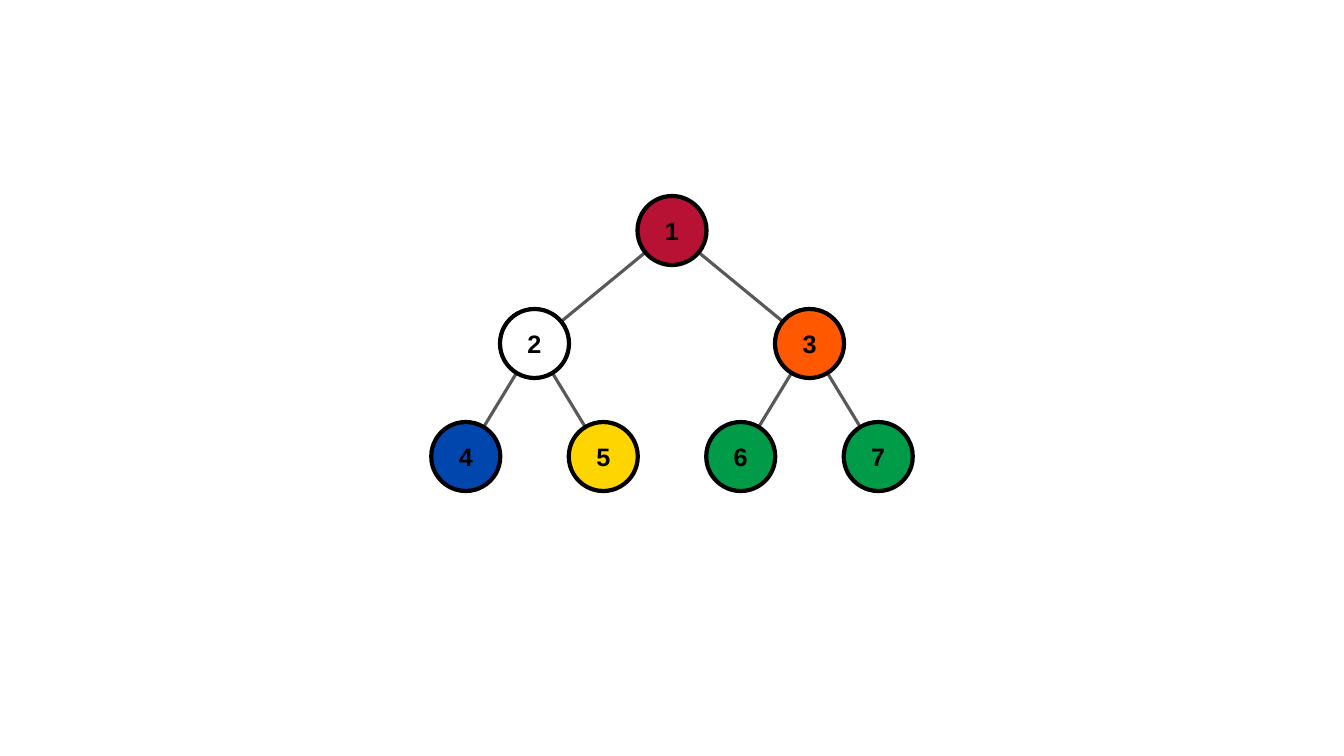
import pptx
import pptx.dml.color
import pptx.enum.shapes
import pptx.enum.text
import pptx.util
from lxml import etree

PIXEL = 914400 / 100.8
RGB = pptx.dml.color.RGBColor
BLACK = RGB(0x00, 0x00, 0x00)
GREY = RGB(0x59, 0x59, 0x59)
RED = RGB(0xB7, 0x12, 0x34)
WHITE = RGB(0xFF, 0xFF, 0xFF)
ORANGE = RGB(0xFF, 0x58, 0x00)
BLUE = RGB(0x00, 0x46, 0xAD)
YELLOW = RGB(0xFF, 0xD5, 0x00)
GREEN = RGB(0x00, 0x9B, 0x48)

NODE_COLORS = [RED, WHITE, ORANGE, BLUE, YELLOW, GREEN, GREEN]
DIAMETER = 69
TREE_BOX = (397, 196, 550, 295)


def emu(pixels):
    """Turn pixels into EMU."""
    return pptx.util.Emu(round(pixels * PIXEL))


def add_edge(page, start, end):
    """Join two node centres with a grey line."""
    edge = page.shapes.add_connector(
        pptx.enum.shapes.MSO_CONNECTOR.STRAIGHT, *map(emu, start + end))
    edge.line.color.rgb = GREY
    edge.line.width = pptx.util.Pt(2.25)
    properties = edge.element.spPr
    etree.SubElement(properties, pptx.oxml.ns.qn("a:effectLst"))


def add_node(page, center, number, color):
    """Draw a numbered circle around its centre."""
    left, top = (value - DIAMETER / 2 for value in center)
    node = page.shapes.add_shape(
        pptx.enum.shapes.MSO_SHAPE.OVAL,
        *map(emu, (left, top, DIAMETER, DIAMETER)))
    node.shadow.inherit = False
    node.fill.solid()
    node.fill.fore_color.rgb = color
    node.line.color.rgb = BLACK
    node.line.width = pptx.util.Pt(3)
    frame = node.text_frame
    frame.vertical_anchor = pptx.enum.text.MSO_ANCHOR.MIDDLE
    para = frame.paragraphs[0]
    para.alignment = pptx.enum.text.PP_ALIGN.CENTER
    span = para.add_run()
    span.text = str(number)
    span.font.name = "Arial"
    span.font.size = pptx.util.Pt(18)
    span.font.bold = True
    span.font.color.rgb = BLACK


def add_tree(page, box, colors):
    """Lay out a binary tree, numbered level by level, inside the box."""
    left, top, width, height = box
    levels = len(colors).bit_length()
    step = (height - DIAMETER) / (levels - 1)
    centers = {}
    for level in range(levels):
        count = 2 ** level
        for slot in range(count):
            centers[count + slot] = (left + width * (slot + 0.5) / count,
                                     top + DIAMETER / 2 + level * step)
    for number in range(2, len(colors) + 1):
        add_edge(page, centers[number // 2], centers[number])
    for number, color in enumerate(colors, 1):
        add_node(page, centers[number], number, color)


deck = pptx.Presentation()
deck.slide_width = emu(1344)
deck.slide_height = emu(756)
page = deck.slides.add_slide(deck.slide_layouts[6])
add_tree(page, TREE_BOX, NODE_COLORS)
deck.save("out.pptx")
